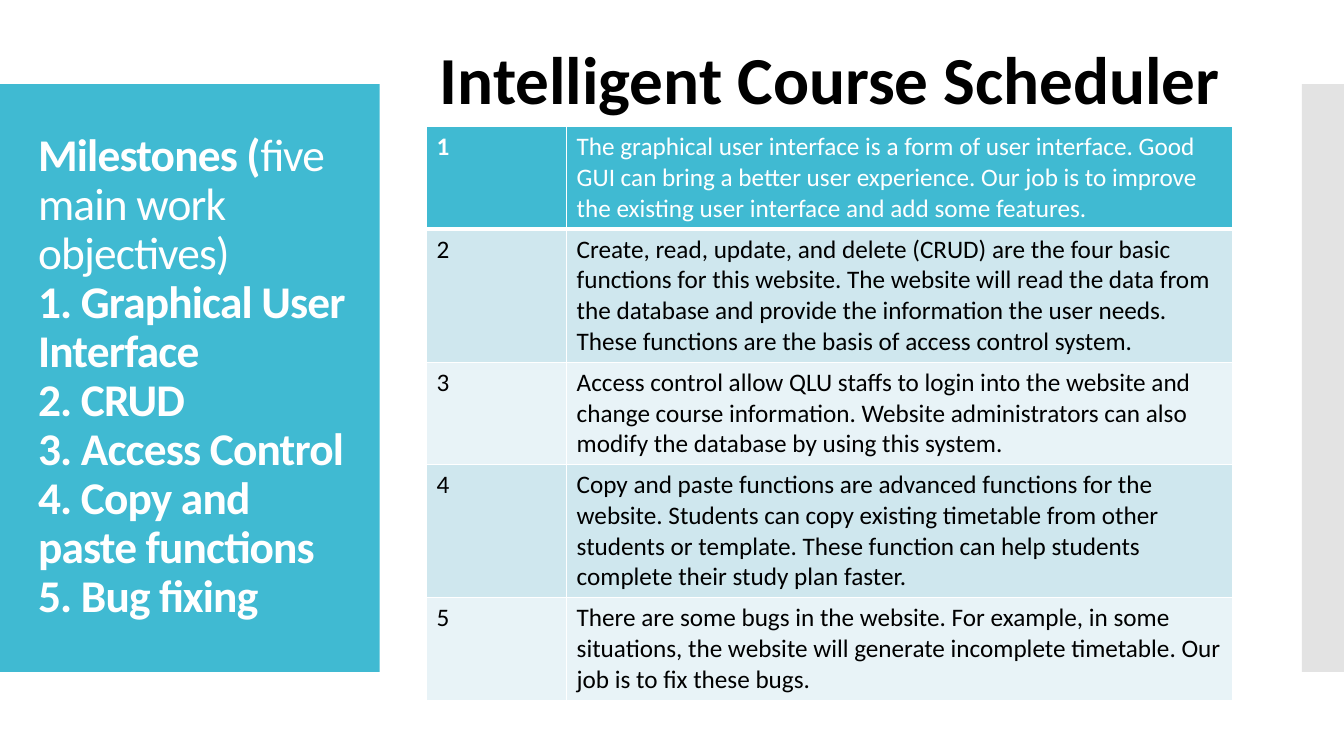
from lxml import etree
from pptx import Presentation
from pptx.dml.color import RGBColor
from pptx.enum.shapes import MSO_SHAPE
from pptx.enum.text import MSO_ANCHOR, MSO_AUTO_SIZE, PP_ALIGN
from pptx.oxml.ns import qn
from pptx.util import Pt

RECTANGLE = MSO_SHAPE.RECTANGLE
MIDDLE = MSO_ANCHOR.MIDDLE
NO_AUTOFIT = MSO_AUTO_SIZE.NONE
LEFT, CENTER = PP_ALIGN.LEFT, PP_ALIGN.CENTER

WHITE = RGBColor(0xFF, 0xFF, 0xFF)
BLACK = RGBColor(0x00, 0x00, 0x00)
TEAL = RGBColor(0x40, 0xBA, 0xD2)
GRAY = RGBColor(0xC8, 0xC8, 0xC8)
BAND_DARK = RGBColor(0xCF, 0xE7, 0xEE)
BAND_LIGHT = RGBColor(0xE8, 0xF3, 0xF7)
FONT = "Calibri"

HEADING = "Intelligent Course Scheduler"
# Each line is a list of (text, bold) pieces.
MILESTONES = [
    [("Milestones (", True), ("five main work objectives)", False)],
    [("1. Graphical User Interface", True)],
    [("2. CRUD", True)],
    [("3. Access Control", True)],
    [("4. Copy and paste functions", True)],
    [("5. Bug fixing", True)],
]
# Row height, description
OBJECTIVES = [
    (73, "The graphical user interface is a form of user interface. Good GUI can bring "
         "a better user experience. Our job is to improve the existing user interface "
         "and add some features."),
    (95, "Create, read, update, and delete (CRUD) are the four basic functions for this "
         "website. The website will read the data from the database and provide the "
         "information the user needs. These functions are the basis of access control "
         "system."),
    (73, "Access control allow QLU staffs to login into the website and change course "
         "information. Website administrators can also modify the database by using "
         "this system."),
    (95, "Copy and paste functions are advanced functions for the website. Students can "
         "copy existing timetable from other students or template. These function can "
         "help students complete their study plan faster."),
    (73, "There are some bugs in the website. For example, in some situations, the "
         "website will generate incomplete timetable. Our job is to fix these bugs."),
]


def format_span(span, size, color, bold):
    span.font.name = FONT
    span.font.size = Pt(size)
    span.font.color.rgb = color
    span.font.bold = bold


def add_panel(slide, left, width, color, opacity=100):
    panel = slide.shapes.add_shape(RECTANGLE, Pt(left), Pt(60), Pt(width), Pt(420))
    panel.shadow.inherit = False
    panel.fill.solid()
    panel.fill.fore_color.rgb = color
    panel.line.fill.background()
    if opacity < 100:
        color_element = panel.fill._xPr.find(".//" + qn("a:srgbClr"))
        etree.SubElement(color_element, qn("a:alpha"), val=str(opacity * 1000))


def fill_milestones(slide):
    """Write the milestone list into the title and lift it above the panels."""
    title = slide.shapes.title
    title.left, title.top, title.width, title.height = Pt(20), Pt(88.5), Pt(242), Pt(362)
    frame = title.text_frame
    frame.word_wrap = True
    frame.auto_size = NO_AUTOFIT
    frame.vertical_anchor = MIDDLE
    for index, pieces in enumerate(MILESTONES):
        para = frame.add_paragraph() if index else frame.paragraphs[0]
        para.alignment = LEFT
        para.line_spacing = 0.9
        for text, bold in pieces:
            span = para.add_run()
            span.text = text
            format_span(span, 32.4, WHITE, bold)
            span._r.get_or_add_rPr().set("spc", "-60")
    slide.shapes._spTree.append(title._element)


def add_heading(slide):
    box = slide.shapes.add_textbox(Pt(249), Pt(23), Pt(688), Pt(65.5))
    box.text_frame.word_wrap = True
    para = box.text_frame.paragraphs[0]
    para.text = HEADING
    para.alignment = CENTER
    format_span(para.runs[0], 48, BLACK, True)


def add_border(cell, side, width):
    line = etree.SubElement(cell._tc.get_or_add_tcPr(), qn("a:" + side), w=str(Pt(width)))
    fill = etree.SubElement(line, qn("a:solidFill"))
    etree.SubElement(fill, qn("a:srgbClr"), val=str(WHITE))


def fill_cell(cell, text, row, bold):
    for side in ("lnL", "lnR", "lnT", "lnB"):
        at_header_edge = (row, side) in ((0, "lnB"), (1, "lnT"))
        add_border(cell, side, 3 if at_header_edge else 1)
    cell.fill.solid()
    cell.fill.fore_color.rgb = TEAL if row == 0 else (BAND_LIGHT, BAND_DARK)[row % 2]
    cell.text_frame.text = text
    color = WHITE if row == 0 else BLACK
    format_span(cell.text_frame.paragraphs[0].runs[0], 18, color, bold)


def add_objectives_table(slide):
    height = sum(row_height for row_height, _ in OBJECTIVES)
    table = slide.shapes.add_table(
        len(OBJECTIVES), 2, Pt(304.75), Pt(90.5), Pt(576), Pt(height)).table
    table.columns[0].width = Pt(100)
    table.columns[1].width = Pt(476)
    for row, (row_height, description) in enumerate(OBJECTIVES):
        table.rows[row].height = Pt(row_height)
        fill_cell(table.cell(row, 0), str(row + 1), row, row == 0)
        fill_cell(table.cell(row, 1), description, row, False)


def main():
    deck = Presentation()
    deck.slide_width, deck.slide_height = Pt(960), Pt(540)
    slide = deck.slides.add_slide(deck.slide_layouts[5])
    add_panel(slide, 0, 271.25, TEAL)
    add_panel(slide, 930, 30, GRAY, opacity=50)
    fill_milestones(slide)
    add_objectives_table(slide)
    add_heading(slide)
    deck.save("out.pptx")


if __name__ == "__main__":
    main()
